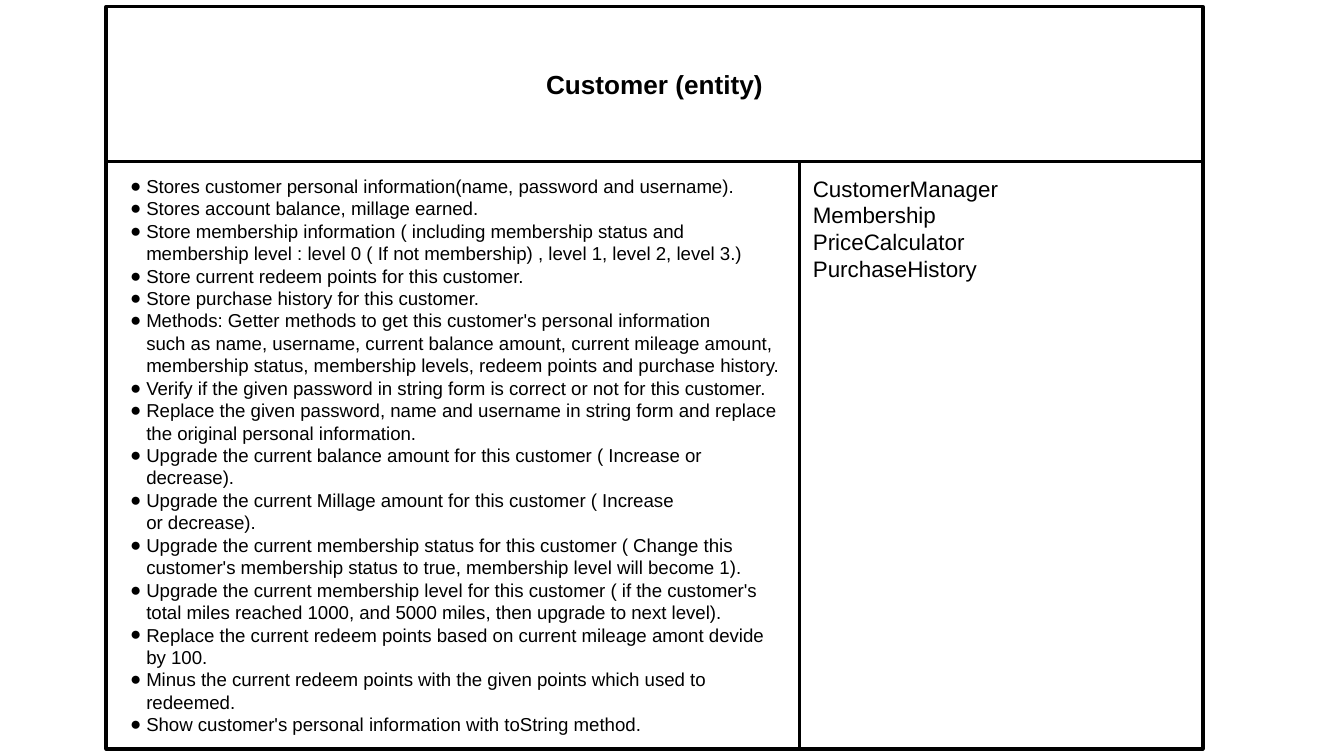
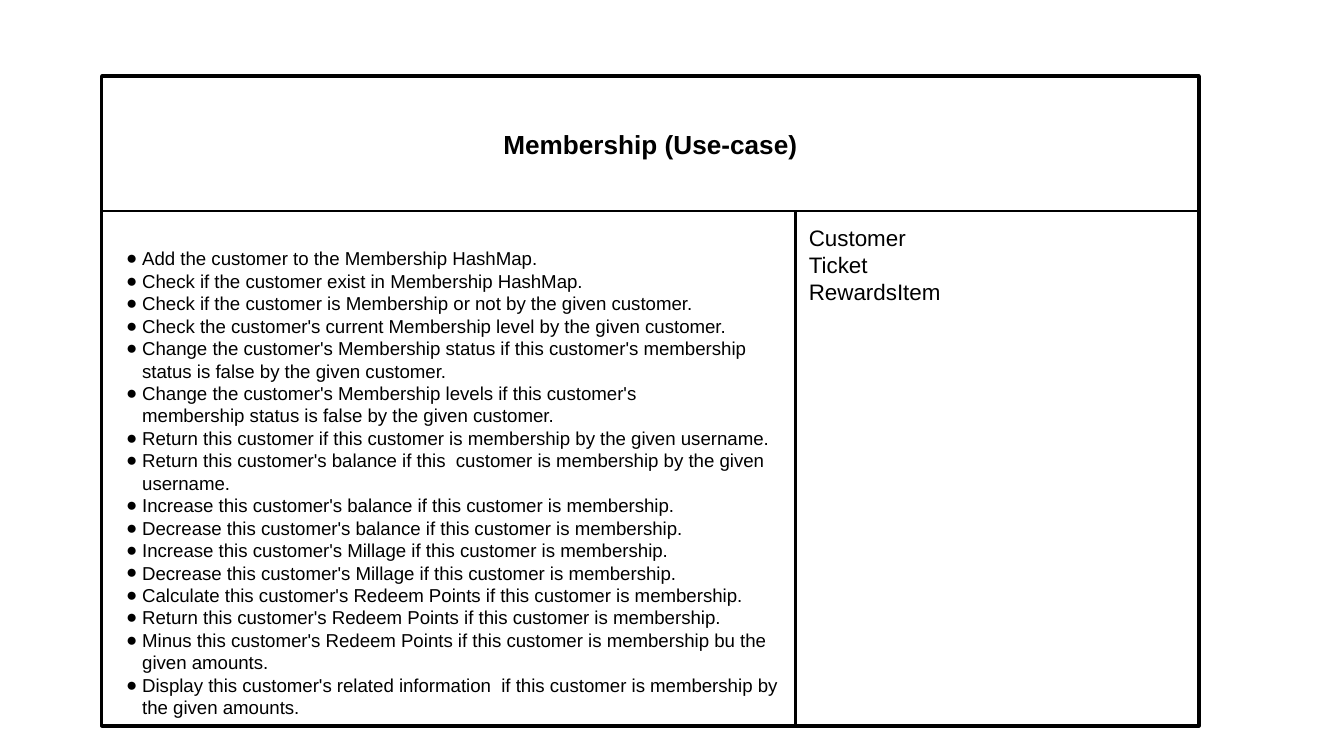
from dataclasses import dataclass

import lxml.etree
import pptx
import pptx.dml.color
import pptx.enum.shapes
import pptx.enum.text
import pptx.oxml.ns
import pptx.util

Inches = pptx.util.Inches
Pt = pptx.util.Pt
PP_ALIGN = pptx.enum.text.PP_ALIGN
ANCHOR = pptx.enum.text.MSO_ANCHOR

# Shared style
FONT = "Arial"
INK = "000000"
PAPER = "FFFFFF"
INSET = 0.1
CARD_WIDTH = 8.16
DUTIES_WIDTH = 5.16
HARD_SPACE = chr(160)  # written as ~ in the card texts


@dataclass(frozen=True)
class Card:
    """One class card: title band, responsibilities and collaborators."""
    left: float
    top: float
    height: float
    title_height: float
    duties_inset: float
    title: str
    duties: tuple[str, ...]
    collaborators: tuple[str, ...]


@dataclass(frozen=True)
class TextStyle:
    size: float
    bold: bool = False
    bullet: bool = False
    align: PP_ALIGN = PP_ALIGN.LEFT
    anchor: ANCHOR = ANCHOR.TOP


TITLE = TextStyle(14, bold=True, align=PP_ALIGN.CENTER, anchor=ANCHOR.MIDDLE)
DUTY = TextStyle(10, bullet=True)
COLLABORATOR = TextStyle(12)

CARDS = (
    Card(
        0.79, 0.05, 5.52, 1.15, INSET,
        "Customer (entity)",
        (
            "Stores customer personal information(name,~password and username).",
            "Stores account balance, millage earned.",
            "Store membership information ( including~membership status and "
            "membership level : level 0 ( If not membership) , level 1, level 2, level 3.)",
            "Store current redeem points for this customer.",
            "Store purchase history~for this customer.",
            "Methods: Getter methods to get this customer's personal information "
            "such~as~name,~username, current balance amount, current~mileage~amount, "
            "membership status, membership levels,~redeem points and purchase history.",
            "Verify if the given password in string form is correct or not for this customer.",
            "Replace the given password, name and username~in string form and replace "
            "the~original personal information.",
            "Upgrade the current balance amount for this customer ( Increase or decrease).",
            "Upgrade the current Millage amount for this customer ( Increase or~decrease).",
            "Upgrade the current membership status for this customer ( Change this "
            "customer's membership status to true, membership level will become 1).",
            "Upgrade the current membership level for this customer ( if the customer's "
            "total miles reached 1000, and 5000~miles, then upgrade to next level).",
            "Replace the current redeem points based on current~mileage amont devide by 100.",
            "Minus the~current redeem points with the given points which used to redeemed.",
            "Show customer's personal information with~toString~method.",
        ),
        ("CustomerManager", "Membership", "PriceCalculator", "PurchaseHistory"),
    ),
    Card(
        0.76, 0.57, 4.83, 1.0, 0.27,
        "Membership (Use-case)",
        (
            "Add the customer to the Membership~HashMap.",
            "Check if the customer exist in~Membership~HashMap.",
            "Check if the customer is Membership or not by the given customer.",
            "Check the customer's current~Membership~level by the given customer.",
            "Change the customer's Membership status if this customer's membership "
            "status is false by the given customer.",
            "Change the customer's Membership levels if this customer's "
            "membership~status is false by the given customer.",
            "Return this customer if this customer is membership by the given username.",
            "Return this customer's balance if this ~customer is~membership~by the given "
            "username.",
            "Increase this customer's balance if this~customer is~membership.",
            "Decrease this customer's balance if this~customer is~membership.",
            "Increase this customer's Millage if this~customer is~membership.",
            "Decrease this customer's Millage if this~customer is~membership.",
            "Calculate this customer's~Redeem Points if~this~customer is~membership.",
            "Return this customer's~Redeem Points~if~this~customer is~membership.",
            "Minus this customer's~Redeem Points~if~this~customer is~membership bu~the "
            "given amounts.",
            "Display this customer's related information~~if~this~customer is~membership~by "
            "the~given amounts.",
        ),
        ("Customer", "Ticket", "RewardsItem"),
    ),
)


def color(value: str) -> pptx.dml.color.RGBColor:
    return pptx.dml.color.RGBColor.from_string(value)


def add_box(shapes, left: float, top: float, width: float, height: float,
            line_width: float = 1.5):
    """Add a white rectangle with a black outline."""
    box = shapes.add_shape(
        pptx.enum.shapes.MSO_SHAPE.RECTANGLE,
        Inches(left), Inches(top), Inches(width), Inches(height))
    box.shadow.inherit = False
    box.fill.solid()
    box.fill.fore_color.rgb = color(PAPER)
    box.line.color.rgb = color(INK)
    box.line.width = Pt(line_width)
    return box


def add_bullet(para, size: float) -> None:
    """Give a paragraph a round bullet with a hanging indent."""
    qn = pptx.oxml.ns.qn
    properties = para._p.get_or_add_pPr()
    properties.set("marL", str(Inches(0.2)))
    properties.set("indent", str(Inches(-0.12)))
    tint = lxml.etree.SubElement(properties, qn("a:buClr"))
    lxml.etree.SubElement(tint, qn("a:srgbClr"), val=INK)
    lxml.etree.SubElement(properties, qn("a:buSzPts"), val=str(int(size * 100)))
    lxml.etree.SubElement(properties, qn("a:buFont"), typeface=FONT)
    lxml.etree.SubElement(properties, qn("a:buChar"), char="●")


def write(box, lines: tuple[str, ...], style: TextStyle, top_inset: float = INSET) -> None:
    """Fill a box with one paragraph per line."""
    frame = box.text_frame
    frame.word_wrap = True
    frame.vertical_anchor = style.anchor
    frame.margin_left = frame.margin_right = frame.margin_bottom = Inches(INSET)
    frame.margin_top = Inches(top_inset)
    for index, line in enumerate(lines):
        para = frame.add_paragraph() if index else frame.paragraphs[0]
        if style.bullet:
            add_bullet(para, style.size)
        para.alignment = style.align
        span = para.add_run()
        span.text = line.replace("~", HARD_SPACE)
        span.font.name = FONT
        span.font.size = Pt(style.size)
        span.font.bold = style.bold
        span.font.color.rgb = color(INK)


def draw_card(page, card: Card) -> None:
    shapes = page.shapes.add_group_shape().shapes
    body_top = card.top + card.title_height
    body_height = card.height - card.title_height

    # Outer frame and title band
    add_box(shapes, card.left, card.top, CARD_WIDTH, card.height, line_width=2.25)
    title = add_box(shapes, card.left, card.top, CARD_WIDTH, card.title_height)
    write(title, (card.title,), TITLE)

    # Responsibilities on the left, collaborators on the right
    duties = add_box(shapes, card.left, body_top, DUTIES_WIDTH, body_height)
    write(duties, card.duties, DUTY, card.duties_inset)
    collaborators = add_box(shapes, card.left + DUTIES_WIDTH, body_top,
                            CARD_WIDTH - DUTIES_WIDTH, body_height)
    write(collaborators, card.collaborators, COLLABORATOR)


def main() -> None:
    deck = pptx.Presentation()
    deck.slide_width = Inches(10)
    deck.slide_height = Inches(10 * 9 / 16)
    for card in CARDS:
        page = deck.slides.add_slide(deck.slide_layouts[6])
        draw_card(page, card)
    deck.save("out.pptx")


if __name__ == "__main__":
    main()
